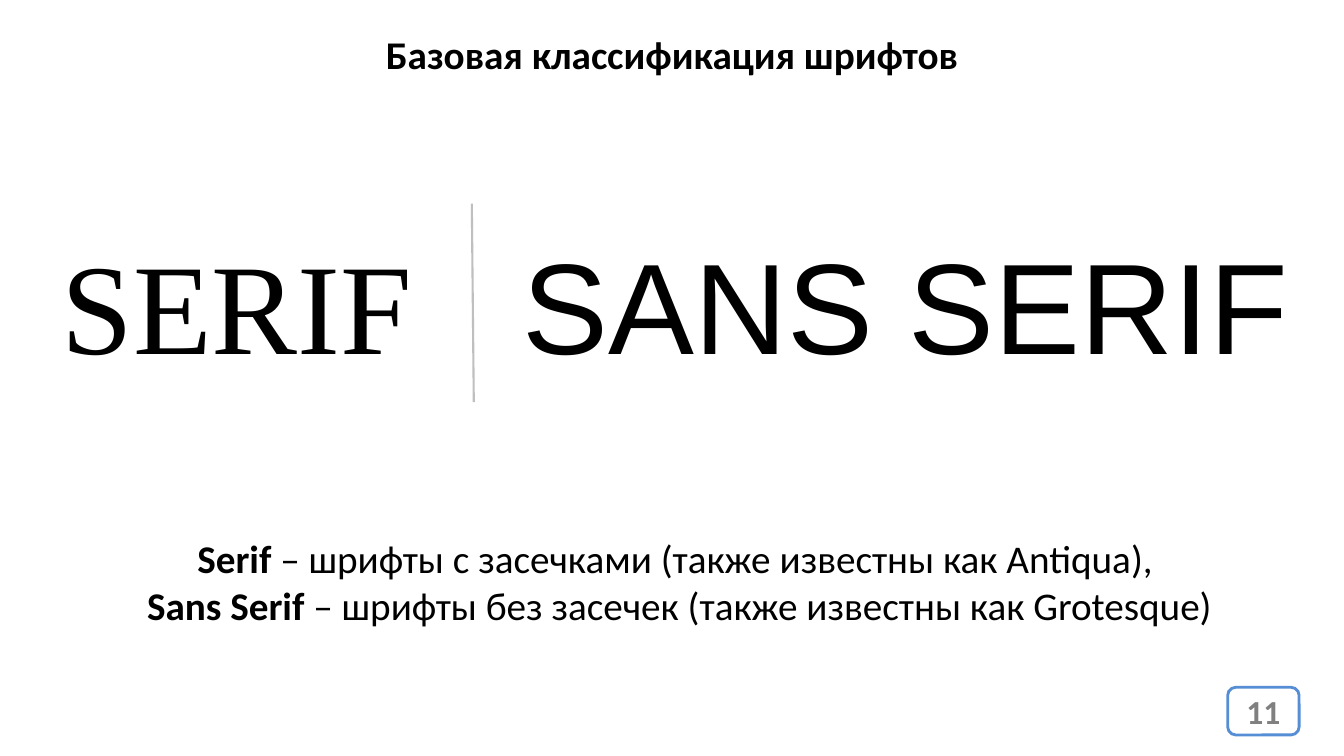
from pptx import Presentation
from pptx import util as u
from pptx.dml.color import RGBColor
from pptx.enum import shapes, text
from pptx.oxml.ns import qn
from lxml import etree

BLACK = RGBColor(0x00, 0x00, 0x00)
WHITE = RGBColor(0xFF, 0xFF, 0xFF)
GRAY = RGBColor(0x80, 0x80, 0x80)
SILVER = RGBColor(0xBF, 0xBF, 0xBF)
BLUE = RGBColor(0x55, 0x8E, 0xD5)


class SlideWriter:
    body_font = "Calibri"
    body_size = 28

    def __init__(self, page):
        self.page = page

    def add_span(self, para, words, bold=False, font=None, size=None, color=BLACK):
        span = para.add_run()
        span.text = words
        span.font.name = font or self.body_font
        span.font.size = u.Pt(size or self.body_size)
        span.font.bold = bold
        span.font.color.rgb = color

    def add_text(self, left, top, width, height, lines, wrap=True,
                 align=text.PP_ALIGN.CENTER, font=None, size=None):
        box = self.page.shapes.add_textbox(
            u.Cm(left), u.Cm(top), u.Cm(width), u.Cm(height))
        frame = box.text_frame
        frame.word_wrap = wrap
        frame.auto_size = text.MSO_AUTO_SIZE.SHAPE_TO_FIT_TEXT
        for index, line in enumerate(lines):
            para = frame.add_paragraph() if index else frame.paragraphs[0]
            para.alignment = align
            for words, bold in line:
                self.add_span(para, words, bold, font, size)

    def add_sample(self, left, width, words, font):
        self.add_text(left, 5.56, width, 4.19, [[(words, False)]], wrap=False,
                      align=text.PP_ALIGN.LEFT, font=font, size=92)

    def add_divider(self, start_x, start_y, end_x, end_y):
        divider = self.page.shapes.add_connector(
            shapes.MSO_CONNECTOR.STRAIGHT,
            u.Cm(start_x), u.Cm(start_y), u.Cm(end_x), u.Cm(end_y))
        divider.line.color.rgb = SILVER
        divider.line.width = u.Pt(1.5)
        etree.SubElement(divider._element.spPr, qn("a:effectLst"))

    def add_page_number(self, left, top, width, height, number):
        badge = self.page.shapes.add_shape(
            shapes.MSO_SHAPE.ROUNDED_RECTANGLE,
            u.Cm(left), u.Cm(top), u.Cm(width), u.Cm(height))
        badge.shadow.inherit = False
        badge.fill.solid()
        badge.fill.fore_color.rgb = WHITE
        badge.line.color.rgb = BLUE
        badge.line.width = u.Pt(2)
        frame = badge.text_frame
        frame.vertical_anchor = text.MSO_ANCHOR.MIDDLE
        para = frame.paragraphs[0]
        para.alignment = text.PP_ALIGN.CENTER
        self.add_span(para, number, bold=True, size=24, color=GRAY)


def main():
    deck = Presentation()
    deck.slide_width = u.Cm(33.87)
    deck.slide_height = u.Cm(19.05)
    writer = SlideWriter(deck.slides.add_slide(deck.slide_layouts[6]))

    writer.add_page_number(30.94, 17.32, 1.8, 1.2, "11")
    writer.add_text(0, 0.64, 33.87, 1.45,
                    [[("Базовая классификация шрифтов", True)]])
    writer.add_text(1.32, 13.34, 31.6, 2.64, [
        [("Serif", True),
         (" – шрифты с засечками (также известны как Antiqua), ", False)],
        [("Sans Serif ", True),
         ("– шрифты без засечек (также известны как Grotesque)", False)],
    ])
    writer.add_sample(1.3, 9.45, "SERIF", "Times New Roman")
    writer.add_sample(12.93, 20.02, "SANS SERIF", "Arial")
    writer.add_divider(11.89, 5.13, 11.94, 10.13)

    deck.save("out.pptx")


if __name__ == "__main__":
    main()
